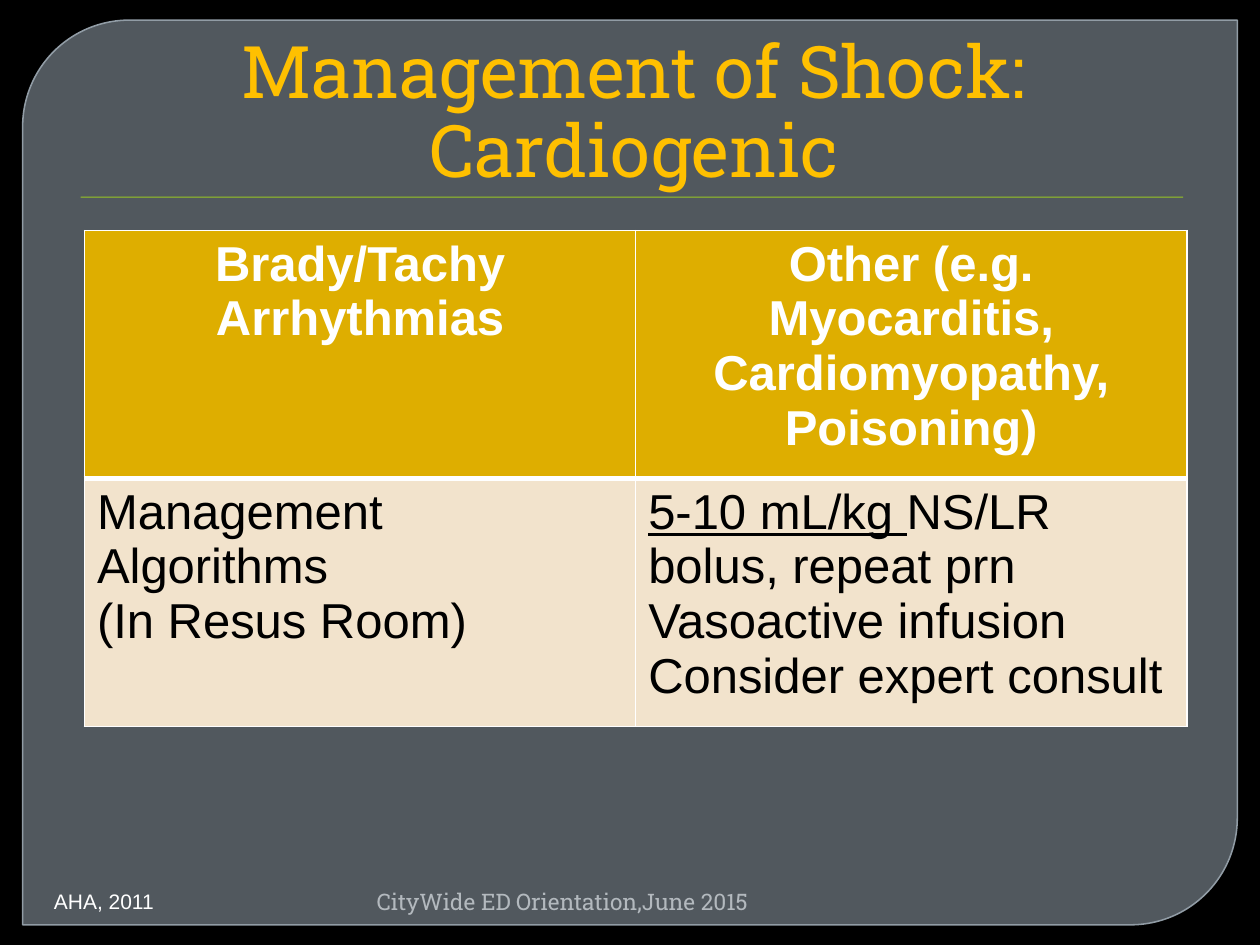
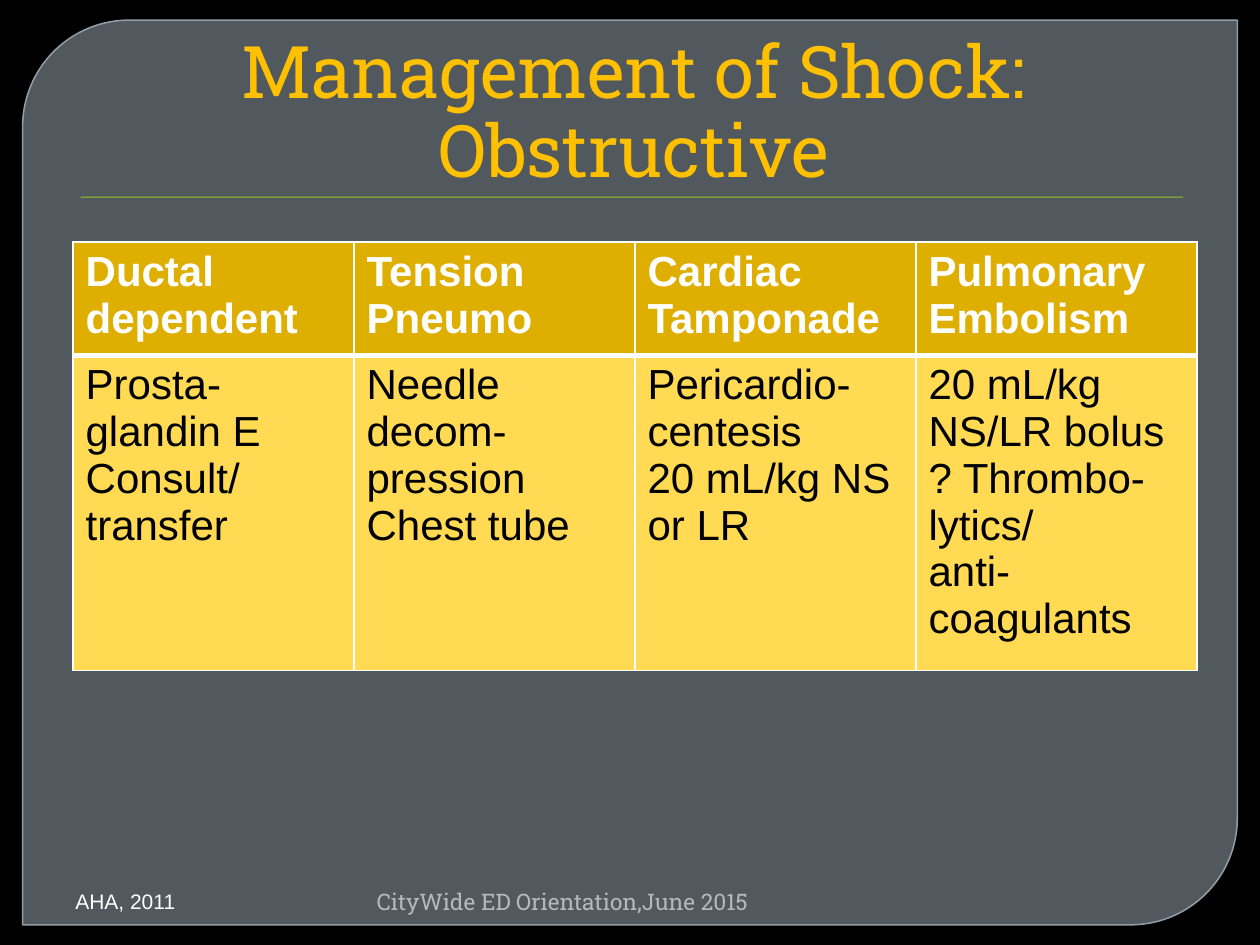
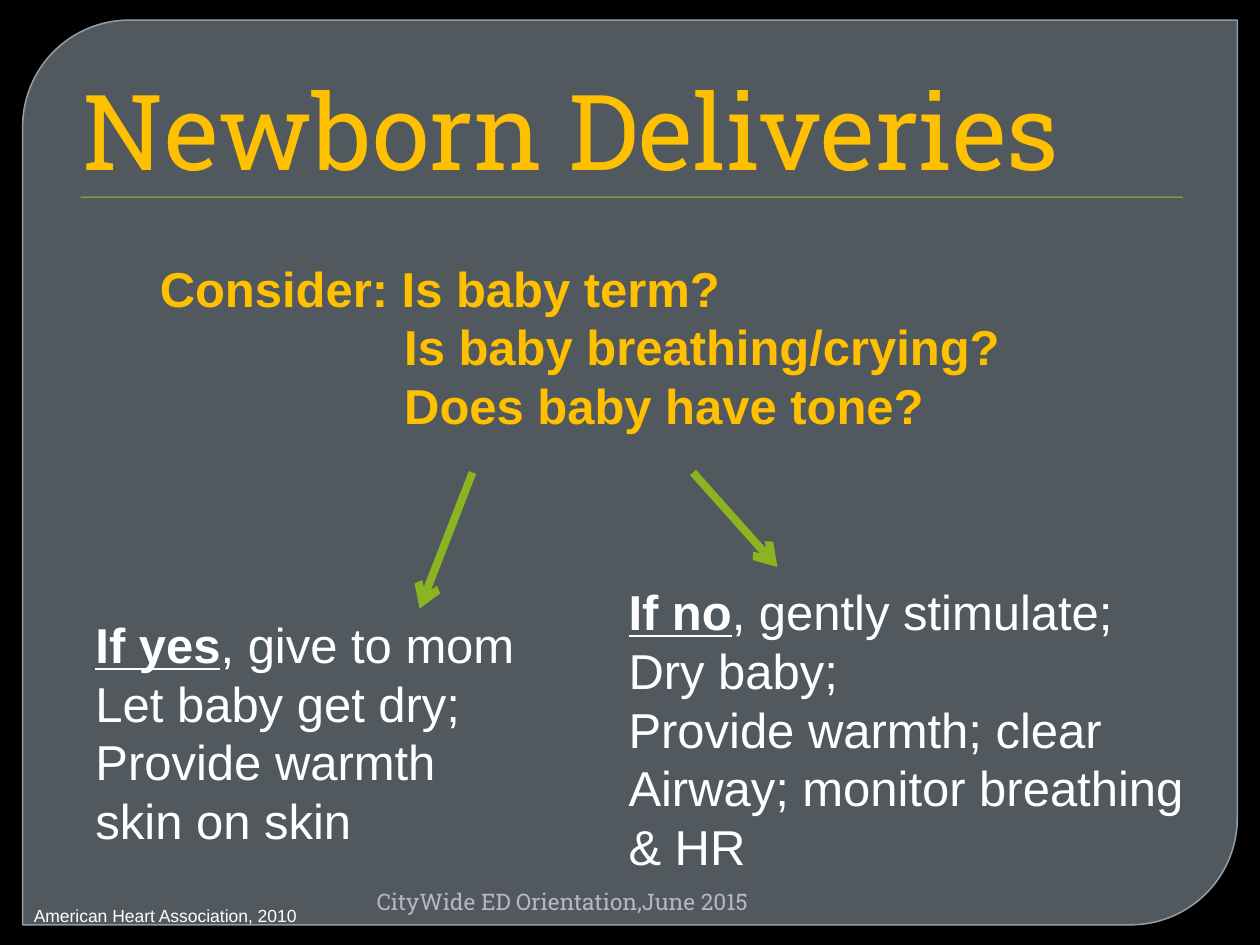
from dataclasses import dataclass, field
from typing import NamedTuple

import pptx
import pptx.util
from lxml import etree
from pptx.dml.color import RGBColor
from pptx.enum.shapes import MSO_CONNECTOR, MSO_SHAPE
from pptx.enum.text import MSO_ANCHOR, PP_ALIGN
from pptx.oxml.ns import qn

Inches, Pt = pptx.util.Inches, pptx.util.Pt


@dataclass(frozen=True)
class Theme:
    background: str = "000000"
    panel: str = "7D8891"
    panel_line: str = "919CA5"
    rule: str = "98C723"
    arrow: str = "8AB520"
    gold: str = "FFC000"
    header: str = "DEAE00"
    cream: str = "F2E3CC"
    yellow: str = "FFDA52"
    white: str = "FFFFFF"
    black: str = "000000"
    footer: str = "B3B9BE"
    title_font: str = "Roboto Slab"
    body_font: str = "Arial"
    title_size: float = 41.4
    big_title_size: float = 60
    body_size: float = 28
    small_table_size: float = 24
    footer_size: float = 13
    source_size: float = 12
    small_source_size: float = 10


THEME = Theme()
FOOTER = "CityWide ED Orientation,June 2015"


class Box(NamedTuple):
    x: float
    y: float
    w: float
    h: float

    def emu(self) -> list:
        return [Inches(v) for v in self]


class Run(NamedTuple):
    text: str
    fmt: dict = {}


@dataclass
class Para:
    runs: list
    fmt: dict = field(default_factory=dict)
    indent: float = 0


@dataclass
class TableData:
    box: Box
    row_heights: list
    headers: list
    body: list
    body_fill: str
    size: float
    header_align: PP_ALIGN = PP_ALIGN.LEFT


class Arrow(NamedTuple):
    x1: float
    y1: float
    x2: float
    y2: float


def style(size: float, color: str, name: str = THEME.body_font, **extra) -> dict:
    return {"size": Pt(size), "name": name, "color": color, **extra}


def apply(target, fmt: dict) -> None:
    for key, value in fmt.items():
        if key == "color":
            target.color.rgb = RGBColor.from_string(value)
        else:
            setattr(target, key, value)


def lines(*texts: str) -> list:
    return [Para([Run(text)]) for text in texts]


def write(tf, paras: list, base: dict) -> None:
    """Fill a text frame; run formats override the base format."""
    for i, para in enumerate(paras):
        p = tf.paragraphs[0] if i == 0 else tf.add_paragraph()
        if para.indent:
            p._p.get_or_add_pPr().set("marL", str(Inches(para.indent)))
        apply(p, para.fmt)
        for run in para.runs:
            r = p.add_run()
            r.text = run.text
            apply(r.font, {**base, **run.fmt})


def add_text(s, box: Box, paras: list, base: dict, **frame):
    tf = s.shapes.add_textbox(*box.emu()).text_frame
    apply(tf, {"word_wrap": True, **frame})
    write(tf, paras, base)


def add_panel(s, kind: MSO_SHAPE, box: Box, fill: str):
    sp = s.shapes.add_shape(kind, *box.emu())
    sp.shadow.inherit = False
    sp.fill.solid()
    sp.fill.fore_color.rgb = RGBColor.from_string(fill)
    sp.line.fill.background()
    return sp


def new_slide(prs, title: str, size: float = THEME.title_size,
              align: PP_ALIGN = PP_ALIGN.CENTER):
    """Blank slide with the shared background, panel, rule, title and footer."""
    s = prs.slides.add_slide(prs.slide_layouts[6])
    s.background.fill.solid()
    s.background.fill.fore_color.rgb = RGBColor.from_string(THEME.background)

    panel = add_panel(s, MSO_SHAPE.ROUND_2_DIAG_RECTANGLE,
                      Box(0.18, 0.16, 9.64, 7.18), THEME.panel)
    panel.adjustments[0], panel.adjustments[1] = 0.118, 0
    color = panel._element.spPr.find(qn("a:solidFill"))[0]
    etree.SubElement(color, qn("a:alpha"), val="65000")
    panel.line.color.rgb = RGBColor.from_string(THEME.panel_line)
    panel.line.width = Pt(0.87)
    add_panel(s, MSO_SHAPE.RECTANGLE, Box(0.64, 1.56, 8.75, 0.01), THEME.rule)

    add_text(s, Box(0.5, 0.28, 9, 1.25),
             [Para([Run(title)], {"alignment": align, "line_spacing": 0.9}, 0.06)],
             style(size, THEME.gold, THEME.title_font),
             vertical_anchor=MSO_ANCHOR.BOTTOM, margin_bottom=0)
    add_text(s, Box(1.42, 7, 4.61, 0.3),
             [Para([Run(FOOTER)], {"alignment": PP_ALIGN.RIGHT})],
             style(THEME.footer_size, THEME.footer, THEME.title_font))
    return s


def add_source(s, x: float, y: float, text: str, size: float = THEME.source_size):
    add_text(s, Box(x, y, 2.4, 0.3), lines(text), style(size, THEME.white))


def set_borders(cell, widths: dict) -> None:
    tcPr = cell._tc.get_or_add_tcPr()
    for i, (side, width) in enumerate(widths.items()):
        ln = etree.Element(qn(f"a:ln{side}"), w=str(Pt(width)))
        fill = etree.SubElement(ln, qn("a:solidFill"))
        etree.SubElement(fill, qn("a:srgbClr"), val=THEME.white)
        tcPr.insert(i, ln)


def fill_cell(cell, paras: list, base: dict, fill: str, borders: dict) -> None:
    cell.fill.solid()
    cell.fill.fore_color.rgb = RGBColor.from_string(fill)
    write(cell.text_frame, paras, base)
    set_borders(cell, borders)


def add_table(s, data: TableData) -> None:
    n = len(data.headers)
    table = s.shapes.add_table(2, n, *data.box.emu()).table
    for row, height in zip(table.rows, data.row_heights):
        row.height = Inches(height)
    for col in table.columns:
        col.width = Inches(data.box.w / n)
    for c, (header, body) in enumerate(zip(data.headers, data.body)):
        fill_cell(table.cell(0, c),
                  [Para([Run(header)], {"alignment": data.header_align})],
                  style(data.size, THEME.white, bold=True), THEME.header,
                  {"L": 1, "R": 1, "T": 1, "B": 3})
        fill_cell(table.cell(1, c), body,
                  style(data.size, THEME.black, bold=False), data.body_fill,
                  {"L": 1, "R": 1, "T": 3, "B": 1})


def add_arrow(s, arrow: Arrow) -> None:
    cx = s.shapes.add_connector(MSO_CONNECTOR.STRAIGHT, *[Inches(v) for v in arrow])
    cx.line.color.rgb = RGBColor.from_string(THEME.arrow)
    cx.line.width = Pt(4.5)
    etree.SubElement(cx.line._get_or_add_ln(), qn("a:tailEnd"), type="arrow")
    etree.SubElement(cx._element.spPr, qn("a:effectLst"))


def cardiogenic_slide(prs) -> None:
    s = new_slide(prs, "Management of Shock: Cardiogenic")
    bolus = Para([Run("5-10 mL/kg ", {"underline": True}),
                  Run("NS/LR bolus, repeat prn")])
    add_table(s, TableData(
        Box(0.67, 1.83, 8.75, 3.66), [1.83, 1.83],
        ["Brady/Tachy Arrhythmias",
         "Other (e.g. Myocarditis, Cardiomyopathy, Poisoning)"],
        [lines("Management Algorithms", "(In Resus Room)"),
         [bolus, *lines("Vasoactive infusion", "Consider expert consult")]],
        THEME.cream, THEME.body_size, PP_ALIGN.CENTER))
    add_source(s, 0.33, 7, "AHA, 2011")


def obstructive_slide(prs) -> None:
    s = new_slide(prs, "Management of Shock: Obstructive")
    add_table(s, TableData(
        Box(0.58, 1.92, 8.92, 3.17), [0.84, 2.33],
        ["Ductal dependent", "Tension Pneumo", "Cardiac Tamponade",
         "Pulmonary Embolism"],
        [lines("Prosta-glandin E", "Consult/transfer"),
         lines("Needle decom-", "pression", "Chest tube"),
         lines("Pericardio-centesis", "20 mL/kg NS or LR"),
         lines("20 mL/kg", "NS/LR bolus", "? Thrombo-lytics/", "anti-coagulants")],
        THEME.yellow, THEME.small_table_size))
    add_source(s, 0.5, 7, "AHA, 2011")


def newborn_slide(prs) -> None:
    s = new_slide(prs, "Newborn Deliveries", THEME.big_title_size, PP_ALIGN.LEFT)
    spacing = {"line_spacing": Pt(33.5)}
    questions = [("Consider: Is baby term?", 0),
                 ("Is baby breathing/crying?", 1.94),
                 ("Does baby have tone?", 1.94)]
    add_text(s, Box(1.17, 2, 6.94, 1.51),
             [Para([Run(text)], spacing, indent) for text, indent in questions],
             style(THEME.body_size, THEME.gold, bold=True))

    answers = [
        (Box(0.66, 4.83, 3.57, 1.99), "If yes",
         [", give to mom", "Let baby get dry;", "Provide warmth", "skin on skin"]),
        (Box(4.89, 4.57, 4.66, 2.93), "If no",
         [", gently stimulate;", "Dry baby;", "Provide warmth; clear",
          "Airway; monitor breathing", "& HR"]),
    ]
    for box, lead, steps in answers:
        paras = [Para([Run(step)], spacing) for step in steps]
        paras[0].runs.insert(0, Run(lead, {"bold": True, "underline": True}))
        add_text(s, box, paras, style(THEME.body_size, THEME.white))

    for arrow in (Arrow(3.75, 3.75, 3.33, 4.83), Arrow(5.5, 3.75, 6.17, 4.5)):
        add_arrow(s, arrow)
    add_source(s, 0.17, 7.13, "American Heart Association, 2010",
               THEME.small_source_size)


def main() -> None:
    prs = pptx.Presentation()
    prs.slide_width, prs.slide_height = Inches(10), Inches(7.5)
    cardiogenic_slide(prs)
    obstructive_slide(prs)
    newborn_slide(prs)
    prs.save("out.pptx")


if __name__ == "__main__":
    main()
